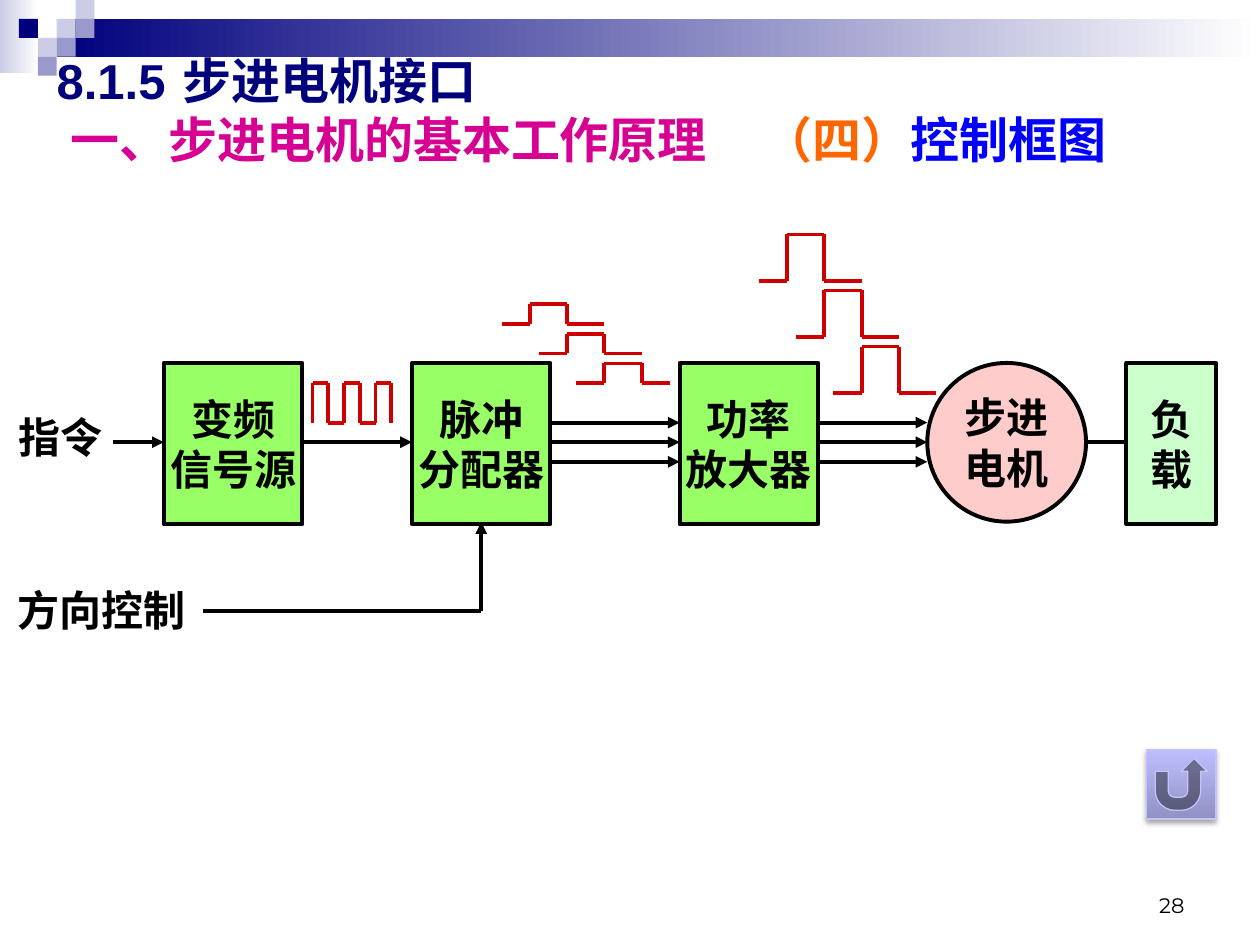
from lxml import etree
from pptx import Presentation
from pptx import util as u
from pptx.dml.color import RGBColor
from pptx.enum import shapes, text
from pptx.oxml import parse_xml
from pptx.oxml.ns import nsdecls, qn

Pt = u.Pt
hex_colour = RGBColor.from_string
KIND = shapes.MSO_SHAPE
ALIGN = text.PP_ALIGN

deck = Presentation()
deck.slide_width, deck.slide_height = Pt(720), Pt(540)
page = deck.slides.add_slide(deck.slide_layouts[5])


def add_block(kind, bounds, colours, line=None, width=2.25, angle=0):
    """Add a shape filled with one colour, or a gradient of two."""
    block = page.shapes.add_shape(kind, *map(Pt, bounds))
    block.shadow.inherit = False
    if len(colours) == 1:
        block.fill.solid()
        block.fill.fore_color.rgb = hex_colour(colours[0])
    else:
        block.fill.gradient()
        block.fill.gradient_angle = angle
        for stop, colour in zip(block.fill.gradient_stops, colours):
            stop.color.rgb = hex_colour(colour)
        for stop, position in zip(block.fill.gradient_stops, (0, 1)):
            stop.position = position
    if line:
        block.line.color.rgb = hex_colour(line)
        block.line.width = Pt(width)
    else:
        block.line.fill.background()
    return block


def draw_path(points, colour="000000", arrow=False):
    """Join the points with straight lines; the arrowhead ends the last one."""
    for start, end in zip(points, points[1:]):
        line = page.shapes.add_connector(
            shapes.MSO_CONNECTOR.STRAIGHT, *map(Pt, start + end))
        line.line.color.rgb = hex_colour(colour)
        line.line.width = Pt(2.25)
        properties = line._element.spPr
        etree.SubElement(properties, qn("a:effectLst"))
    if arrow:
        etree.SubElement(properties.find(qn("a:ln")), qn("a:tailEnd"), type="triangle")


# Banner and its checkered corner
add_block(KIND.RECTANGLE, (0, 0, 22.3, 41.8), ["CCCCE6", "FFFFFF"])
add_block(KIND.RECTANGLE, (32.4, 10.8, 687.6, 21.6), ["00007D", "FFFFFF"])
SQUARE = 10.8
for column, row, colour in [
    (3, 1, "CCCCE6"), (4, 0, "CCCCE6"), (4, 1, "9999CC"), (2, 2, "CCCCE6"),
    (1, 1, "00007D"), (3, 2, "9999CC"), (2, 3, "9999CC"),
]:
    add_block(KIND.RECTANGLE, (column * SQUARE, row * SQUARE, SQUARE, SQUARE), [colour])

# Title
title = page.shapes.title
title.left, title.top, title.width, title.height = map(Pt, (25.2, 25.9, 674.6, 73.4))
frame = title.text_frame
frame.auto_size = text.MSO_AUTO_SIZE.NONE
frame.vertical_anchor = text.MSO_ANCHOR.MIDDLE
title_lines = [
    (0, 85, [("8.1.5\t步进电机接口", "00007D")]),
    (8, 395, [("一、步进电机的基本工作原理\t", "D60093"), ("（四）", "FF6600"),
              ("控制框图", "0000FF")]),
]
for index, (indent, tab, spans) in enumerate(title_lines):
    para = frame.add_paragraph() if index else frame.paragraphs[0]
    para.alignment = ALIGN.LEFT
    properties = para._p.get_or_add_pPr()
    properties.set("marL", str(Pt(indent)))
    properties.set("indent", "0")
    tabs = etree.SubElement(properties, qn("a:tabLst"))
    etree.SubElement(tabs, qn("a:tab"), pos=str(Pt(tab)), algn="l")
    for words, colour in spans:
        span = para.add_run()
        span.text = words
        span.font.color.rgb = hex_colour(colour)
        for name, value in {"size": Pt(28), "name": "Arial", "bold": True}.items():
            setattr(span.font, name, value)

# Blocks of the control chain, and the loose labels
TOP, HEIGHT, AXIS = 207.4, 92.2, 252.7
BOLD = {"size": Pt(24), "name": "Times New Roman", "bold": True}
SMALL = {"size": Pt(12), "name": "Montserrat", "bold": False}
for words, kind, bounds, fill, align, style in [
    ("变频\n信号源", KIND.RECTANGLE, (93.6, TOP, 79.2, HEIGHT), "99FF66", ALIGN.CENTER, BOLD),
    ("脉冲\n分配器", KIND.RECTANGLE, (235.4, TOP, 79.2, HEIGHT), "99FF66", ALIGN.CENTER, BOLD),
    ("功率\n放大器", KIND.RECTANGLE, (388.4, TOP, 79.2, HEIGHT), "99FF66", ALIGN.CENTER, BOLD),
    ("步进\n电机", KIND.OVAL, (529.9, TOP, 90.7, 90.7), "FFCCCC", ALIGN.CENTER, BOLD),
    ("负\n载", KIND.RECTANGLE, (643.7, TOP, 51.1, HEIGHT), "CCFFCC", ALIGN.CENTER, BOLD),
    ("指令", None, (3.6, 231.8, 73.4, 36), None, ALIGN.LEFT, BOLD),
    ("方向控制", None, (2.9, 330.5, 118.8, 36), None, ALIGN.LEFT, BOLD),
    ("28", None, (516.2, 491.8, 167.8, 36), None, ALIGN.RIGHT, SMALL),
]:
    if kind:
        box = add_block(kind, bounds, [fill], "000000")
        anchor = text.MSO_ANCHOR.MIDDLE
    else:
        box = page.shapes.add_textbox(*map(Pt, bounds))
        anchor = text.MSO_ANCHOR.BOTTOM if style is SMALL else text.MSO_ANCHOR.TOP
    box.text_frame.word_wrap = kind is None
    box.text_frame.vertical_anchor = anchor
    para = box.text_frame.paragraphs[0]
    para.text = words
    para.alignment = align
    for span in para.runs:
        span.font.color.rgb = hex_colour("000000")
        for name, value in style.items():
            setattr(span.font, name, value)

# Signal lines
for left, right, offsets in [
    (64.8, 93.6, [0]), (172.8, 235.4, [0]),
    (314.6, 388.4, [-11.2, 0, 11.2]), (467.6, 529.9, [-11.2, 0, 11.2]),
]:
    for offset in offsets:
        draw_path([(left, AXIS + offset), (right, AXIS + offset)], arrow=True)
draw_path([(620.6, AXIS), (643.7, AXIS)])
draw_path([(115.9, 349.2), (275, 349.2), (275, 298.4)], arrow=True)

# Clock pulses
RED = "CC0000"
HIGH, LOW = 218.9, 241.9
clock = []
for edge in range(6):
    levels = (HIGH, LOW) if edge % 2 else (LOW, HIGH)
    clock += [(178.6 + 9 * edge, level) for level in levels]
draw_path(clock, RED)

# Phase pulses before and after amplification, each one pulse width later
PULSE, LEAD = 21.3, 16.2
for left, base, height, drop, last_tail in [
    (286.6, 185, 11.3, 17, LEAD), (433.6, 160.6, 26.6, 32, PULSE),
]:
    for phase in range(3):
        start, low = left + phase * PULSE, base + phase * drop
        rise, fall = start + LEAD, start + LEAD + PULSE
        tail = last_tail if phase == 2 else PULSE
        draw_path([(start, low), (rise, low), (rise, low - height),
                   (fall, low - height), (fall, low), (fall + tail, low)], RED)

# Return button
button = add_block(KIND.ACTION_BUTTON_RETURN, (655.2, 428.4, 39.6, 39.6),
                   ["9191C4", "BEBEFF"], "C4C4FB", 0.75, angle=90)
effects = button._element.spPr.find(qn("a:effectLst"))
effects.append(parse_xml(
    f'<a:outerShdw {nsdecls("a")} blurRad="{Pt(3.1)}" dist="{Pt(1.8)}" dir="5400000" '
    'rotWithShape="0"><a:srgbClr val="000000"><a:alpha val="35000"/></a:srgbClr>'
    '</a:outerShdw>'))

deck.save("out.pptx")
